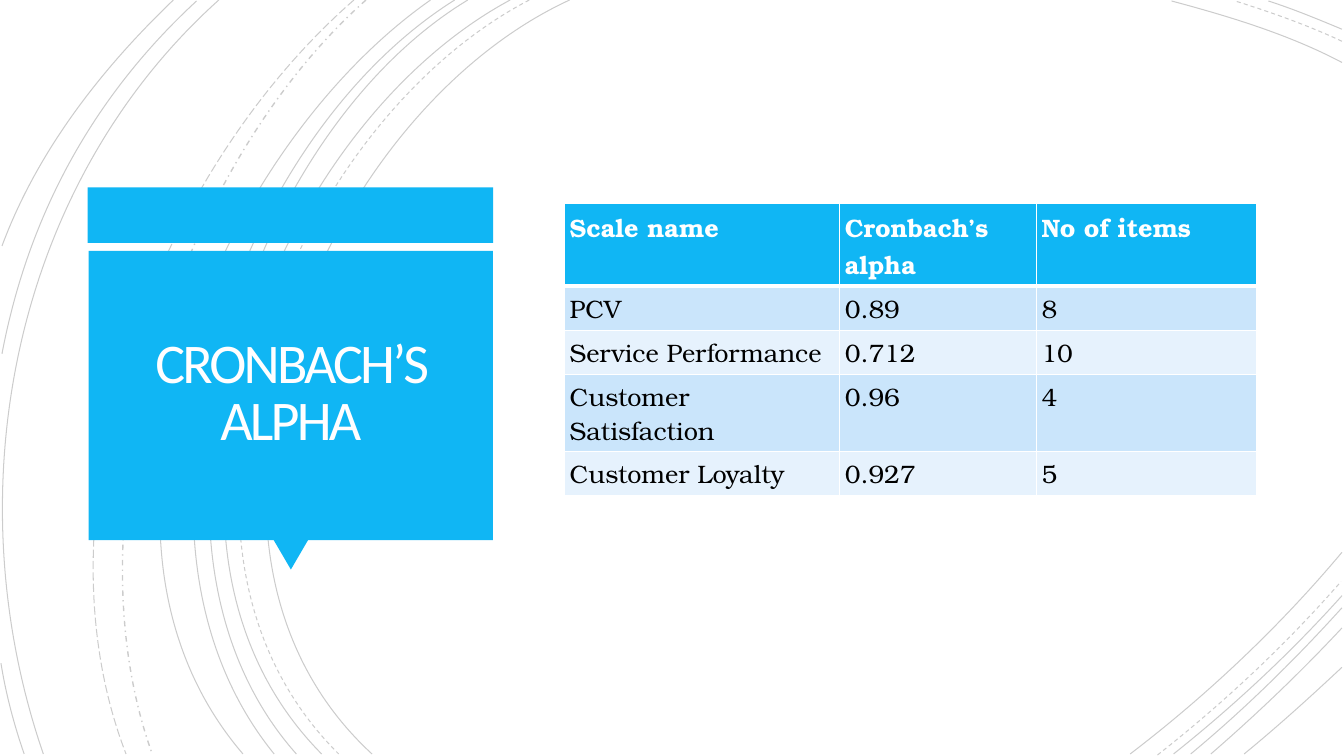
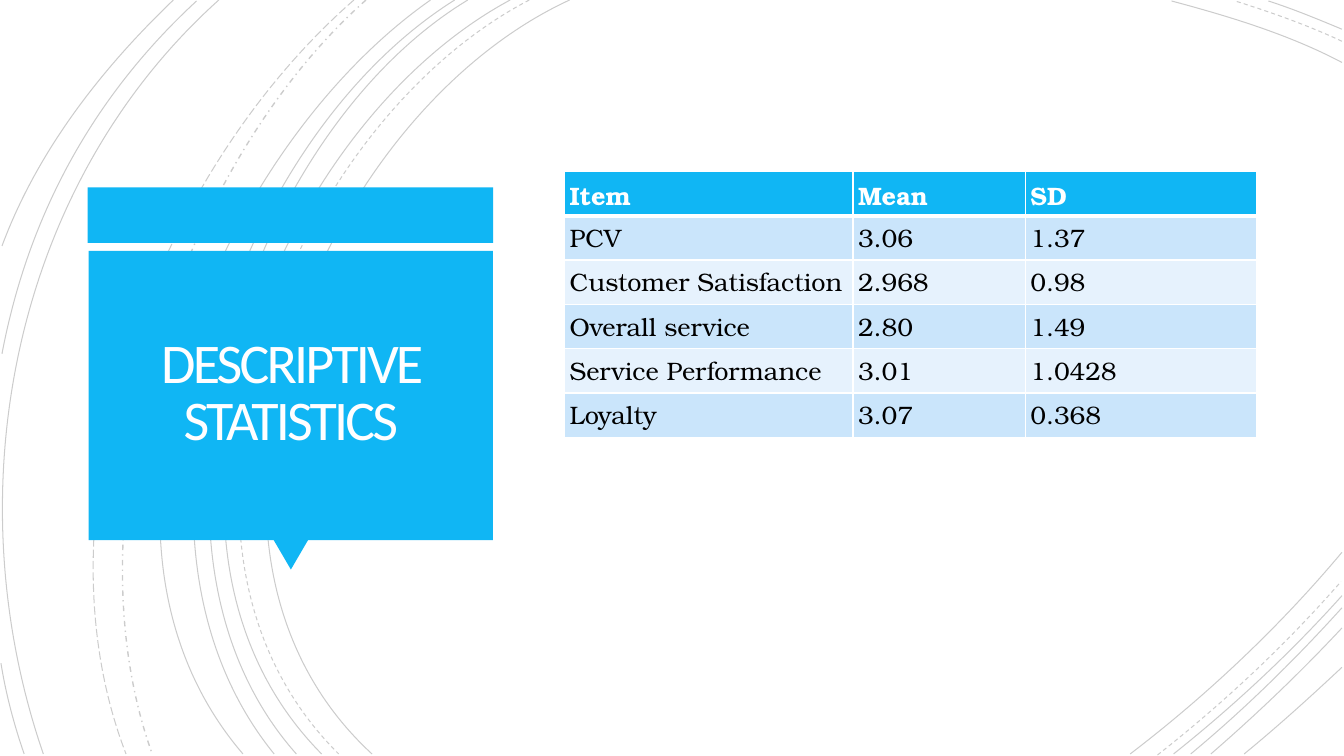
from lxml.etree import SubElement
from pptx import Presentation
from pptx.dml.color import RGBColor
from pptx.enum.dml import MSO_LINE
from pptx.enum.shapes import MSO_SHAPE
from pptx.enum.text import MSO_ANCHOR, PP_ALIGN
from pptx.oxml import parse_xml
from pptx.oxml.ns import nsdecls, qn
from pptx.util import Inches, Pt

SOLID_ARCS = [
    (5.65, 0, 3.15, 1.15, 1.43, 5.4, 3.69, 7.48),
    (13.31, 0.62, 12.78, 0.34, 12.18, 0.16, 11.62, 0.01),
    (11.21, 7.48, 11.97, 6.9, 12.69, 6.22, 13.31, 5.48),
    (5.06, 0, 2.7, 1.27, 1.1, 5.37, 3.19, 7.48),
    (13.31, 0.29, 13.07, 0.19, 12.83, 0.09, 12.58, 0.01),
    (11.64, 7.48, 12.23, 7.01, 12.8, 6.48, 13.31, 5.91),
    (4.64, 0, 2.44, 1.33, 1.1, 5.41, 2.94, 7.48),
    (11.81, 7.48, 12.34, 7.04, 12.84, 6.55, 13.31, 6.03),
    (4.51, 0, 2.31, 1.38, 0.97, 5.33, 2.72, 7.48),
    (12.01, 7.48, 12.46, 7.09, 12.9, 6.67, 13.31, 6.23),
    (4.27, 0, 2.17, 1.47, 0.53, 5.29, 2.41, 7.48),
    (12.34, 7.48, 12.67, 7.21, 12.99, 6.92, 13.31, 6.62),
    (2.17, 0, 0.11, 1.85, -0.46, 4.9, 0.43, 7.48),
    (1.95, 0.01, 0.92, 0.96, 0.28, 2.14, 0.02, 3.51),
    (0.01, 6.58, 0.06, 6.89, 0.14, 7.19, 0.24, 7.48),
    (1.72, 0, 1, 0.69, 0.37, 1.5, 0.02, 2.44),
]
DASHED_ARCS = [
    (5.25, 0, 2.85, 1.25, 1.23, 5.37, 3.36, 7.48),
    (13.31, 0.41, 12.97, 0.25, 12.6, 0.12, 12.25, 0.01),
    (11.48, 7.49, 12.13, 6.98, 12.75, 6.4, 13.3, 5.77),
]
DASH_DOT_ARCS = [(3.63, 0, 1.76, 1.66, 0.65, 5.09, 1.51, 7.48)]
LONG_DASH_ARCS = [(3.51, 0, 1.57, 1.69, 0.29, 4.99, 1.25, 7.48)]

ARC_STYLES = [
    (SOLID_ARCS, MSO_LINE.SOLID, 0.75),
    (DASHED_ARCS, MSO_LINE.DASH, 0.75),
    (DASH_DOT_ARCS, MSO_LINE.DASH_DOT, 1),
    (LONG_DASH_ARCS, MSO_LINE.LONG_DASH, 0.75),
]


def rgb(value):
    return RGBColor.from_string(value)


def extent(a, b, c, d, steps=100):
    values = []
    for i in range(steps + 1):
        t = i / steps
        u = 1 - t
        values.append(u ** 3 * a + 3 * u * u * t * b + 3 * u * t * t * c + t ** 3 * d)
    return Inches(min(values)), Inches(max(values))


def write(tf, text, *, font, size, color, bold=False, align=PP_ALIGN.LEFT,
          line_spacing=None, tracking=None):
    p = tf.paragraphs[0]
    p.alignment = align
    p.line_spacing = line_spacing
    r = p.add_run()
    r.text = text
    r.font.name = font
    r.font.size = Pt(size)
    r.font.bold = bold
    r.font.color.rgb = rgb(color)
    if tracking is not None:
        r._r.get_or_add_rPr().set("spc", str(tracking * 100))


class Deck:
    ACCENT = "10B6F4"
    BANDS = ("CAE5FB", "E6F2FD")
    WHITE = "FFFFFF"
    TITLE_COLOR = "FFFEFF"
    BLACK = "000000"
    TITLE_FONT = "Calibri"
    TABLE_FONT = "TeX Gyre Bonum"

    def __init__(self):
        self.prs = Presentation()
        self.prs.slide_width = Inches(13.33)
        self.prs.slide_height = Inches(7.5)
        self.s = None

    def add_slide(self, title):
        self.s = self.prs.slides.add_slide(self.prs.slide_layouts[6])
        self.backdrop()
        self.panel()
        self.title(title)

    def backdrop(self):
        group = self.s.shapes.add_group_shape()
        for arcs, dash, width in ARC_STYLES:
            for arc in arcs:
                self.arc(group.shapes, arc, dash, width)

    def arc(self, shapes, arc, dash, width):
        left, right = extent(*arc[::2])
        top, bottom = extent(*arc[1::2])
        builder = shapes.build_freeform(left, top)
        builder.add_line_segments([(right, bottom)], close=False)
        sp = builder.convert_to_shape()
        self.bend(sp, [(Inches(x) - left, Inches(y) - top)
                       for x, y in zip(arc[::2], arc[1::2])])
        sp.shadow.inherit = False
        sp.fill.background()
        sp.line.color.rgb = rgb(self.BLACK)
        sp.line.width = Pt(width)
        sp.line.dash_style = dash
        color = sp.line._ln.find(".//" + qn("a:srgbClr"))
        SubElement(color, qn("a:alpha"), val="20000")

    def bend(self, sp, points):
        outline = sp._element.find(".//" + qn("a:path"))
        for child in list(outline):
            outline.remove(child)
        move = SubElement(outline, qn("a:moveTo"))
        curve = SubElement(outline, qn("a:cubicBezTo"))
        for parent, (x, y) in zip((move, curve, curve, curve), points):
            SubElement(parent, qn("a:pt"), x=str(x), y=str(y))

    def panel(self):
        group = self.s.shapes.add_group_shape()
        self.block(group.shapes, MSO_SHAPE.RECTANGLE, 0.87, 1.86, 4.02, 0.55)
        pointer = self.block(group.shapes, MSO_SHAPE.ISOSCELES_TRIANGLE,
                             2.71, 5.35, 0.35, 0.3)
        pointer.rotation = 180
        self.block(group.shapes, MSO_SHAPE.RECTANGLE, 0.88, 2.49, 4.01, 2.87)

    def block(self, shapes, kind, left, top, width, height):
        sp = shapes.add_shape(kind, Inches(left), Inches(top),
                              Inches(width), Inches(height))
        sp.shadow.inherit = False
        sp.fill.solid()
        sp.fill.fore_color.rgb = rgb(self.ACCENT)
        sp.line.fill.background()
        return sp

    def title(self, text):
        box = self.s.shapes.add_textbox(Inches(0.97), Inches(2.57),
                                        Inches(3.83), Inches(2.69))
        tf = box.text_frame
        tf.word_wrap = True
        tf.vertical_anchor = MSO_ANCHOR.MIDDLE
        tf.margin_left = tf.margin_right = Inches(0.25)
        tf.margin_top = tf.margin_bottom = Inches(0.25)
        write(tf, text, font=self.TITLE_FONT, size=40, color=self.TITLE_COLOR,
              align=PP_ALIGN.CENTER, line_spacing=0.85, tracking=-2)

    def table(self, top, widths, heights, rows):
        frame = self.s.shapes.add_table(
            len(rows), len(widths), Inches(5.6), Inches(top),
            Inches(sum(widths)), Inches(sum(heights)))
        table = frame.table
        for column, width in zip(table.columns, widths):
            column.width = Inches(width)
        for row, height in zip(table.rows, heights):
            row.height = Inches(height)
        for i, values in enumerate(rows):
            for j, value in enumerate(values):
                self.cell(table.cell(i, j), value, i)

    def cell(self, cell, text, row):
        header = row == 0
        cell.margin_left = cell.margin_right = Inches(0.05)
        cell.margin_top = cell.margin_bottom = Inches(0.05)
        cell.fill.solid()
        cell.fill.fore_color.rgb = rgb(
            self.ACCENT if header else self.BANDS[(row - 1) % 2])
        write(cell.text_frame, text, font=self.TABLE_FONT, size=18, bold=header,
              color=self.WHITE if header else self.BLACK)
        self.borders(cell, top=3 if row == 1 else 1, bottom=3 if header else 1)

    def borders(self, cell, top, bottom):
        tc_pr = cell._tc.get_or_add_tcPr()
        edges = (("lnL", 1), ("lnR", 1), ("lnT", top), ("lnB", bottom))
        for i, (tag, width) in enumerate(edges):
            tc_pr.insert(i, parse_xml(
                f'<a:{tag} {nsdecls("a")} w="{Pt(width)}"><a:solidFill>'
                f'<a:srgbClr val="{self.WHITE}"/></a:solidFill></a:{tag}>'))


def main():
    deck = Deck()

    deck.add_slide("CRONBACH’S ALPHA")
    deck.table(2.02, (2.73, 1.95, 2.18), (0.82, 0.44, 0.44, 0.76, 0.44), [
        ("Scale name", "Cronbach’s alpha", "No of items"),
        ("PCV", "0.89", "8"),
        ("Service Performance", "0.712", "10"),
        ("Customer Satisfaction", "0.96", "4"),
        ("Customer Loyalty", "0.927", "5"),
    ])

    deck.add_slide("DESCRIPTIVE STATISTICS")
    deck.table(1.7, (2.86, 1.71, 2.29), (0.44,) * 6, [
        ("Item", "Mean", "SD"),
        ("PCV", "3.06", "1.37"),
        ("Customer Satisfaction", "2.968", "0.98"),
        ("Overall service", "2.80", "1.49"),
        ("Service Performance", "3.01", "1.0428"),
        ("Loyalty", "3.07", "0.368"),
    ])

    deck.prs.save("out.pptx")


if __name__ == "__main__":
    main()
